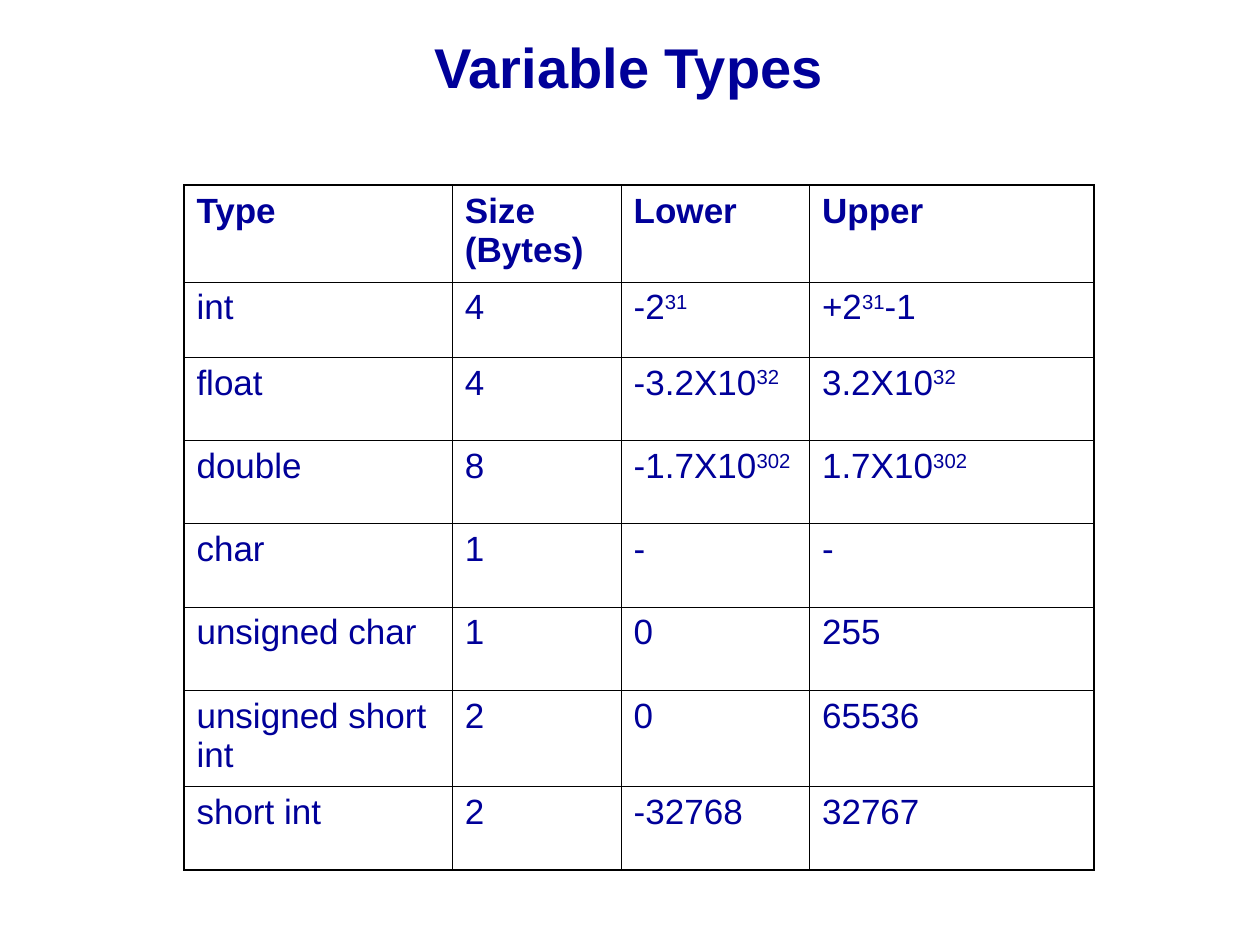
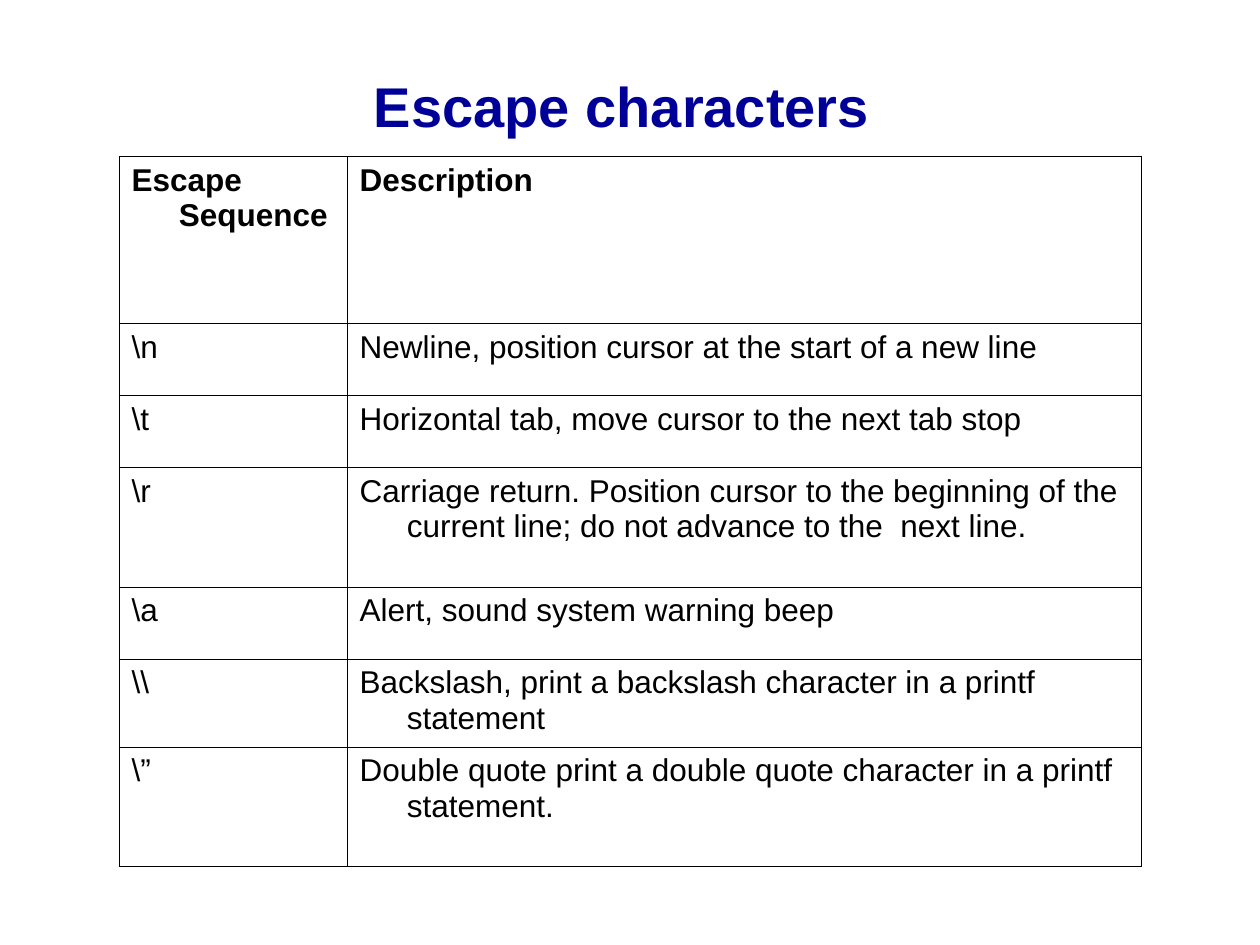
from lxml import etree
from pptx import Presentation
from pptx import util as u
from pptx.dml.color import RGBColor
from pptx.enum import text
from pptx.oxml.ns import qn

# The slide is a grid of 100 columns by 75 rows of square units.
WIDTH, HEIGHT = u.Inches(10), u.Inches(7.5)
UNIT = WIDTH / 100
FONT, NAVY, BLACK, WHITE = "Arial", "000099", "000000", "FFFFFF"
TITLE_STYLE = {"name": FONT, "size": u.Pt(32), "bold": True}
TITLE_HEIGHT = 7.9
THIN, THICK = 0.45, 1.08

# Text between carets is raised.
VARIABLE_TYPES = [
    ("Type", "Size (Bytes)", "Lower", "Upper"),
    ("int", "4", "-2^31^", "+2^31^-1"),
    ("float", "4", "-3.2X10^32^", "3.2X10^32^"),
    ("double", "8", "-1.7X10^302^", "1.7X10^302^"),
    ("char", "1", "-", "-"),
    ("unsigned char", "1", "0", "255"),
    ("unsigned short int", "2", "0", "65536"),
    ("short int", "2", "-32768", "32767"),
]
ESCAPES = [
    ("Escape Sequence", "Description"),
    (r"\n", "Newline, position cursor at the start of a new line"),
    (r"\t", "Horizontal tab, move cursor to the next tab stop"),
    (r"\r", "Carriage return. Position cursor to the beginning of the "
            "current line; do not advance to the  next line."),
    (r"\a", "Alert, sound system warning beep"),
    (r"\\", "Backslash, print a backslash character in a printf statement"),
    (r"\”", "Double quote print a double quote character in a printf statement."),
]


def units(*counts):
    return [u.Emu(round(count * UNIT)) for count in counts]


def color(hex_code):
    return RGBColor.from_string(hex_code)


def apply(target, values):
    for key, value in values.items():
        setattr(target, key, value)


def write(paragraph, content, style, ink):
    """Add runs to the paragraph, raising every second part split at a caret."""
    for index, part in enumerate(content.split("^")):
        if not part:
            continue
        run = paragraph.add_run()
        run.text = part
        apply(run.font, style)
        run.font.color.rgb = color(ink)
        if index % 2:
            run._r.get_or_add_rPr().set("baseline", "30000")


def add_title(slide, content, left, top, width):
    frame = slide.shapes.add_textbox(*units(left, top, width, TITLE_HEIGHT)).text_frame
    apply(frame, {"word_wrap": True, "vertical_anchor": text.MSO_ANCHOR.MIDDLE})
    write(frame.paragraphs[0], content, TITLE_STYLE, NAVY)


def draw_borders(cell, weights):
    """Draw the left, right, top and bottom edges, with weights in points."""
    properties = cell._tc.get_or_add_tcPr()
    for side, weight in zip("LRTB", weights):
        line = etree.SubElement(properties, qn(f"a:ln{side}"), w=str(u.Pt(weight)))
        fill = etree.SubElement(line, qn("a:solidFill"))
        etree.SubElement(fill, qn("a:srgbClr"), val=BLACK)


def add_grid(slide, entries, corner, widths, heights, size, ink, frame_weight,
             space_before=0, hanging=0):
    """Add a ruled table with a bold first row; hanging is the indent in units."""
    last_row, last_column = len(heights) - 1, len(widths) - 1
    table = slide.shapes.add_table(
        len(heights), len(widths), *units(*corner, sum(widths), sum(heights))).table
    apply(table, {"first_row": False, "horz_banding": False})
    for column, width in zip(table.columns, units(*widths)):
        column.width = width
    for row, height in zip(table.rows, units(*heights)):
        row.height = height
    for r, entry in enumerate(entries):
        for c, content in enumerate(entry):
            cell = table.cell(r, c)
            on_frame = (c == 0, c == last_column, r == 0, r == last_row)
            draw_borders(cell, [frame_weight if edge else THIN for edge in on_frame])
            cell.fill.solid()
            cell.fill.fore_color.rgb = color(WHITE)
            paragraph = cell.text_frame.paragraphs[0]
            paragraph.space_before = u.Pt(space_before)
            if hanging:
                indent, = units(hanging)
                properties = paragraph._p.get_or_add_pPr()
                properties.set("marL", str(indent))
                properties.set("indent", str(-indent))
            write(paragraph, content,
                  {"name": FONT, "size": u.Pt(size), "bold": r == 0}, ink)


def main():
    deck = Presentation()
    apply(deck, {"slide_width": WIDTH, "slide_height": HEIGHT})
    blank = deck.slide_layouts[6]

    types_slide = deck.slides.add_slide(blank)
    add_title(types_slide, "Variable Types", 33.5, 1.3, 36.2)
    add_grid(types_slide, VARIABLE_TYPES, (14.6, 14.7), [21.3, 13.4, 14.95, 22.6],
             [7.65, 6, *[6.6] * 4, 7.65, 6.6], 20, NAVY, THICK, space_before=5)

    escapes_slide = deck.slides.add_slide(blank)
    add_title(escapes_slide, "Escape characters", 28.7, 4.4, 85)
    add_grid(escapes_slide, ESCAPES, (9.45, 12.4), [18.1, 63],
             [13.3, 5.7, 5.7, 9.5, 5.7, 7, 9.5], 18, BLACK, THIN, hanging=3.75)

    deck.save("out.pptx")


if __name__ == "__main__":
    main()
